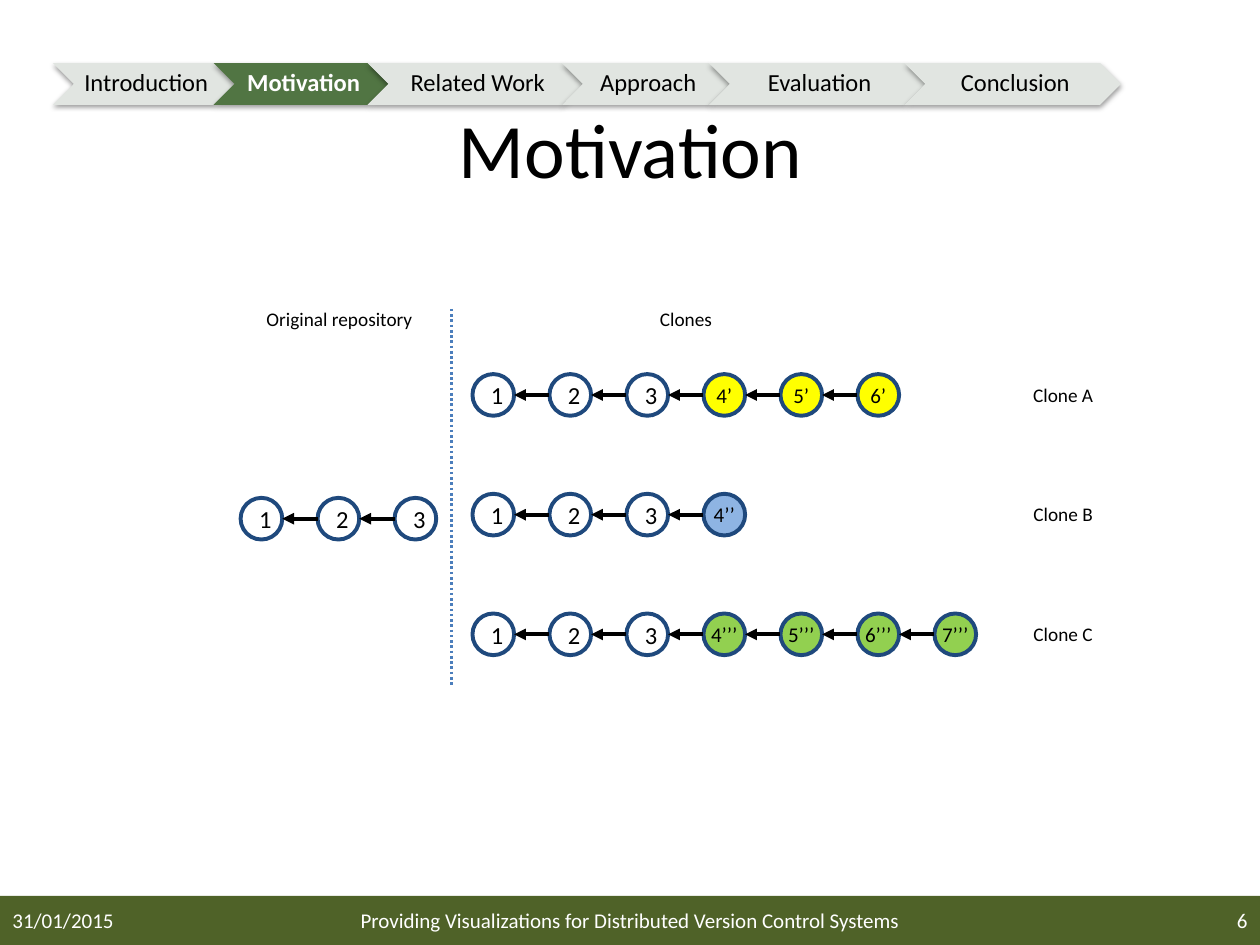
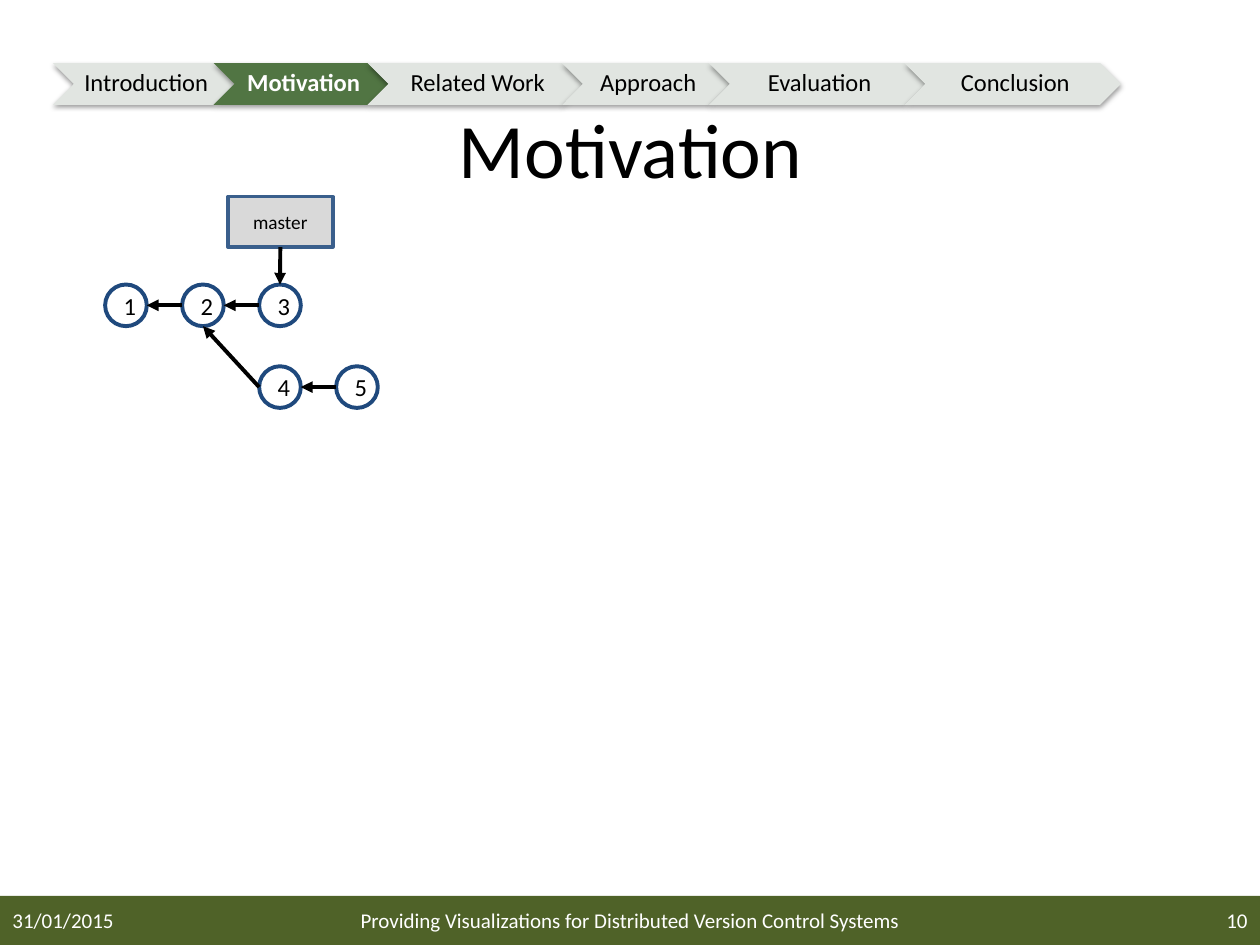
from itertools import pairwise

from lxml import etree
from pptx import Presentation
from pptx.dml.color import RGBColor
from pptx.enum.dml import MSO_LINE
from pptx.enum.shapes import MSO_CONNECTOR, MSO_SHAPE
from pptx.enum.text import MSO_ANCHOR, PP_ALIGN
from pptx.oxml import parse_xml
from pptx.oxml.ns import nsdecls, qn
from pptx.util import Pt

FONT = "Calibri"
COLORS = {
    "text": "000000", "light_text": "FFFFFF", "band": "4F6228",
    "step": "E1E5E1", "current_step": "517543",
    "ring": "1F497D", "arrow": "000000", "divider": "4B7EBC",
    "clone_a": "FFFF00", "clone_b": "8EB4E3", "clone_c": "92D050",
    "branch": "D9D9D9", "branch_edge": "3A5F8C",
}
DATE = "31/01/2015"
TALK = "Providing Visualizations for Distributed Version Control Systems"
STEPS = [("Introduction", 103.7), ("Motivation", 100), ("Related Work", 123),
         ("Approach", 95.8), ("Evaluation", 123.8), ("Conclusion", 123.8)]
COMMIT_SIZE = 23.8
COMMIT_STEP = 44
SHADOW = (f'<a:effectLst {nsdecls("a")}>'
          '<a:outerShdw blurRad="39370" dist="20320" dir="5400000" rotWithShape="0">'
          '<a:srgbClr val="000000"><a:alpha val="38000"/></a:srgbClr>'
          '</a:outerShdw></a:effectLst>')


def rgb(name):
    return RGBColor.from_string(COLORS[name])


def write(shape, text, size, color="text", align=PP_ALIGN.CENTER, bold=False):
    frame = shape.text_frame
    frame.word_wrap = True
    frame.vertical_anchor = MSO_ANCHOR.MIDDLE
    line = frame.paragraphs[0]
    line.text = text
    line.alignment = align
    line.font.name = FONT
    line.font.size = Pt(size)
    line.font.bold = bold
    line.font.color.rgb = rgb(color)


def set_insets(shape, left, top, right, bottom):
    frame = shape.text_frame
    frame.margin_left, frame.margin_top = Pt(left), Pt(top)
    frame.margin_right, frame.margin_bottom = Pt(right), Pt(bottom)


def add_label(slide, box, text, size=11, **style):
    write(slide.shapes.add_textbox(*map(Pt, box)), text, size, **style)


def add_figure(slide, kind, box, fill=None, edge=None, weight=2.25):
    """Add a preset shape without shadow; no fill or edge where none is named."""
    figure = slide.shapes.add_shape(kind, *map(Pt, box))
    figure.shadow.inherit = False
    if fill:
        figure.fill.solid()
        figure.fill.fore_color.rgb = rgb(fill)
    else:
        figure.fill.background()
    if edge:
        figure.line.color.rgb = rgb(edge)
        figure.line.width = Pt(weight)
    else:
        figure.line.fill.background()
    return figure


def add_line(slide, start, end, color, weight):
    line = slide.shapes.add_connector(MSO_CONNECTOR.STRAIGHT, *start, *end)
    line.line.color.rgb = rgb(color)
    line.line.width = Pt(weight)
    etree.SubElement(line._element.spPr, qn("a:effectLst"))
    return line


def add_arrow(slide, start, end):
    arrow = add_line(slide, start, end, "arrow", 2.25)
    etree.SubElement(arrow.line._get_or_add_ln(), qn("a:tailEnd"), type="triangle")
    return arrow


def left_of(shape):
    return shape.left, shape.top + shape.height // 2


def right_of(shape):
    return shape.left + shape.width, shape.top + shape.height // 2


def top_of(shape):
    return shape.left + shape.width // 2, shape.top


def bottom_of(shape):
    return shape.left + shape.width // 2, shape.top + shape.height


def add_commits(slide, left, top, labels, fill=None):
    """Add a row of commits, each pointing to its parent; filled ones are new in a clone."""
    commits = []
    for i, label in enumerate(labels):
        box = (left + i * COMMIT_STEP, top, COMMIT_SIZE, COMMIT_SIZE)
        commit = add_figure(slide, MSO_SHAPE.OVAL, box, fill, "ring")
        write(commit, label, 12 if fill else 14)
        if fill:
            set_insets(commit, 0, 3.6, 0, 3.6)
        commits.append(commit)
    for parent, child in pairwise(commits):
        add_arrow(slide, left_of(child), right_of(parent))
    return commits


def add_clone(slide, left, top, name, new_labels, fill):
    shared = add_commits(slide, left, top, "123")
    new = add_commits(slide, left + len(shared) * COMMIT_STEP, top, new_labels, fill)
    add_arrow(slide, left_of(new[0]), right_of(shared[-1]))
    add_label(slide, (left + 307.5, top - 2.8, 60, 28.8), name)


def add_steps(slide, left, top, height, current):
    for name, width in STEPS:
        active = name == current
        step = add_figure(slide, MSO_SHAPE.CHEVRON, (left, top, width, height),
                          "current_step" if active else "step")
        step._element.spPr.remove(step._element.spPr.find(qn("a:effectLst")))
        step._element.spPr.append(parse_xml(SHADOW))
        write(step, name, 14, "light_text" if active else "text", bold=active)
        step.text_frame.paragraphs[0].line_spacing = 0.9
        set_insets(step, 4.3, 1.4, 1.4, 1.4)
        left += width - height / 2


def add_footer(slide, top, number):
    add_figure(slide, MSO_SHAPE.RECTANGLE, (0, top, 720, 540 - top), "band")
    for left, width, text, align in [(0, 168, DATE, PP_ALIGN.LEFT),
                                     (174, 372, TALK, PP_ALIGN.CENTER),
                                     (552, 168, number, PP_ALIGN.RIGHT)]:
        add_label(slide, (left, top - 0.6, width, 28.8), text, 12,
                  color="light_text", align=align)


def add_section_slide(prs, section, number):
    slide = prs.slides.add_slide(prs.slide_layouts.get_by_name("Title Only"))
    title = slide.shapes.title
    title.left, title.top, title.width, title.height = map(Pt, (11.5, 39.6, 697.7, 90))
    write(title, section, 44)
    add_footer(slide, 511.9, number)
    add_steps(slide, 30.3, 36, 23.9, section)
    return slide


def add_clones_diagram(slide, left, top):
    add_commits(slide, left, top + 116.5, "123")
    divider = add_line(slide, (Pt(left + 120.5), Pt(top + 8.5)),
                       (Pt(left + 120.5), Pt(top + 224.5)), "divider", 1.5)
    divider.line.dash_style = MSO_LINE.ROUND_DOT
    add_label(slide, (left + 5, top, 103, 28.8), "Original repository")
    add_label(slide, (left + 203, top, 103, 28.8), "Clones")
    clones = [("Clone A", ["4’", "5’", "6’"], "clone_a"),
              ("Clone B", ["4’’"], "clone_b"),
              ("Clone C", ["4’’’", "5’’’", "6’’’", "7’’’"], "clone_c")]
    for row, (name, new_labels, fill) in enumerate(clones):
        add_clone(slide, left + 132.5, top + 45.8 + row * 68.4, name, new_labels, fill)


def add_branch_diagram(slide, left, top):
    trunk = add_commits(slide, left, top + 50.2, "123")
    master = add_figure(slide, MSO_SHAPE.RECTANGLE, (left + 70.1, top, 60, 28.8),
                        "branch", "branch_edge", 2)
    write(master, "master", 11)
    head = add_arrow(slide, bottom_of(master), top_of(trunk[-1]))
    head.begin_connect(master, 2)
    side = add_commits(slide, left + 2 * COMMIT_STEP, top + 96.9, "45")
    add_arrow(slide, left_of(side[0]), bottom_of(trunk[1]))


def main():
    prs = Presentation()
    prs.slide_width, prs.slide_height = Pt(720), Pt(540)
    add_clones_diagram(add_section_slide(prs, "Motivation", "6"), 137.5, 168)
    add_branch_diagram(add_section_slide(prs, "Motivation", "10"), 60.1, 112.4)
    prs.save("out.pptx")


if __name__ == "__main__":
    main()
